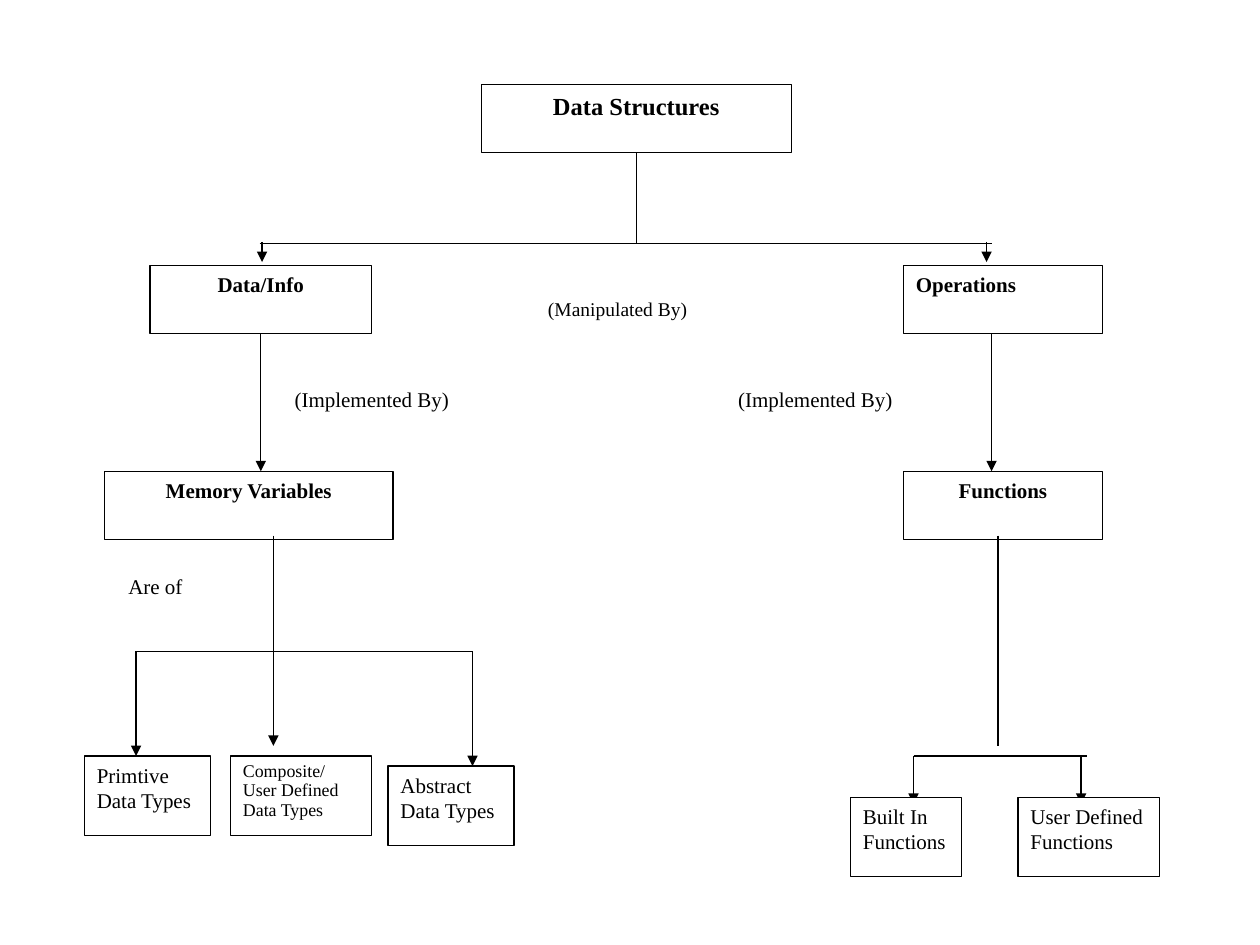
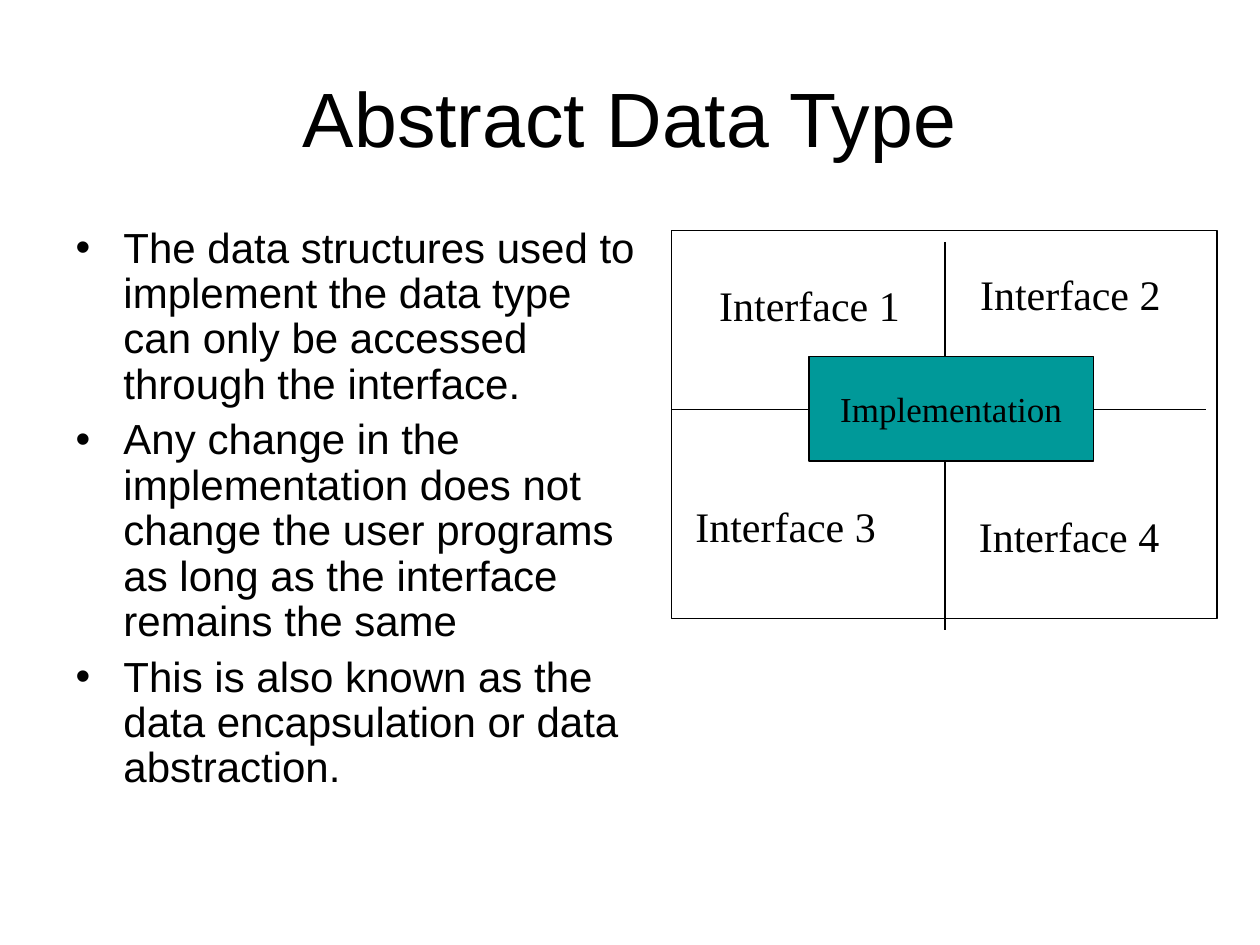
import dataclasses
import typing

import lxml.etree
import pptx
import pptx.dml.color
import pptx.enum.shapes
import pptx.enum.text
import pptx.oxml.ns
import pptx.presentation
import pptx.shapes.autoshape
import pptx.shapes.connector
import pptx.slide
import pptx.text.text
import pptx.util

PX_PER_INCH = 100
EMU_PER_PX = 914400 // PX_PER_INCH
COLORS = {"ink": "000000", "paper": "FFFFFF", "teal": "009999"}
SERIF = "Times New Roman"
SANS = "Arial"
LINE_WIDTH = pptx.util.Pt(0.75)

ALIGN = pptx.enum.text.PP_ALIGN
ANCHOR = pptx.enum.text.MSO_ANCHOR
AUTO_SIZE = pptx.enum.text.MSO_AUTO_SIZE
BOTTOM_SIDE = 2


@dataclasses.dataclass(frozen=True)
class TextStyle:
    size: float = 12
    font: str = SERIF
    bold: bool = False
    align: ALIGN = ALIGN.LEFT
    spacing: typing.Optional[float] = None


@dataclasses.dataclass(frozen=True)
class Box:
    text: str
    left: int
    top: int
    width: int
    height: int
    style: TextStyle = TextStyle()
    fill: str = "paper"
    line: str = "ink"
    anchor: ANCHOR = ANCHOR.TOP


@dataclasses.dataclass(frozen=True)
class Link:
    x1: int
    y1: int
    x2: int
    y2: int
    arrow: bool = False
    source: str = ""


HEADING = TextStyle(bold=True, align=ALIGN.CENTER)
ROOT_HEADING = TextStyle(14, bold=True, align=ALIGN.CENTER)
TIGHT = TextStyle(10.2, spacing=0.9)
CORE = TextStyle(20, align=ALIGN.CENTER)
INTERFACE = TextStyle(24)
TITLE = TextStyle(44, SANS, align=ALIGN.CENTER)
BULLET = TextStyle(24, SANS, spacing=0.9)

ROW_TOPS = (67, 211, 374)
ROW_HEIGHT = 54
LEAF_HEIGHT = 63

TREE_BOXES = [
    Box("Data Structures", 382, ROW_TOPS[0], 246, ROW_HEIGHT, ROOT_HEADING),
    Box("Data/Info", 119, ROW_TOPS[1], 176, ROW_HEIGHT, HEADING),
    Box("Operations", 717, ROW_TOPS[1], 158, ROW_HEIGHT, TextStyle(bold=True)),
    Box("Memory Variables", 83, ROW_TOPS[2], 229, ROW_HEIGHT, HEADING),
    Box("Functions", 717, ROW_TOPS[2], 158, ROW_HEIGHT, HEADING),
    Box("Primtive Data Types", 67, 600, 100, LEAF_HEIGHT),
    Box("Composite/\nUser Defined Data Types", 183, 600, 112, LEAF_HEIGHT, TIGHT),
    Box("Abstract Data Types", 308, 608, 100, LEAF_HEIGHT),
]
RELATION_LABELS = [
    Box("(Implemented By)", 224, 302, 193, 54, line="paper"),
    Box("(Implemented By)", 576, 302, 194, 54, line="paper"),
    Box("Are of", 92, 450, 93, 50, line="paper"),
    Box("(Manipulated By)", 425, 233, 138, 37, TextStyle(11.1, spacing=0.9), line="paper"),
]
TREE_LINKS = [
    Link(505, 121, 505, 193, source="Data Structures"),
    Link(206, 193, 787, 193),
    Link(208, 192, 208, 208, arrow=True),
    Link(783, 192, 783, 208, arrow=True),
    Link(207, 265, 207, 374, arrow=True, source="Data/Info"),
    Link(787, 265, 787, 374, arrow=True),
    Link(217, 425, 217, 592, arrow=True),
    Link(108, 517, 375, 517),
    Link(108, 517, 108, 600, arrow=True),
    Link(375, 517, 375, 608, arrow=True),
    Link(792, 425, 792, 592),
    Link(725, 600, 863, 600),
    Link(725, 600, 725, 638, arrow=True),
    Link(858, 600, 858, 638, arrow=True),
]
FUNCTION_BOXES = [
    Box("Built In\nFunctions", 675, 633, 88, LEAF_HEIGHT),
    Box("User Defined\nFunctions", 808, 633, 112, LEAF_HEIGHT),
]

INTERFACE_FRAME = Box("", 533, 183, 433, 308)
INTERFACE_DIVIDERS = [Link(533, 325, 957, 325), Link(750, 192, 750, 500)]
IMPLEMENTATION = Box("Implementation", 642, 283, 226, 83, CORE, "teal", anchor=ANCHOR.MIDDLE)
INTERFACE_CORNERS = [(561, 217), (768, 208), (542, 392), (767, 400)]
INTERFACE_LABEL_SIZE = (175, 50)
ADT_POINTS = [
    "The data structures used to implement the data type can only be accessed through the interface.",
    "Any change in the implementation does not change the user programs as long as the interface remains the same",
    "This is also known as the data encapsulation or data abstraction.",
]


def px(length: int) -> pptx.util.Emu:
    return pptx.util.Emu(length * EMU_PER_PX)


def color(name: str) -> pptx.dml.color.RGBColor:
    return pptx.dml.color.RGBColor.from_string(COLORS[name])


def write_text(frame: pptx.text.text.TextFrame, text: str, style: TextStyle) -> None:
    frame.text = text
    for para in frame.paragraphs:
        para.alignment = style.align
        if style.spacing:
            para.line_spacing = style.spacing
        for span in para.runs:
            span.font.size = pptx.util.Pt(style.size)
            span.font.name = style.font
            span.font.bold = style.bold
            span.font.color.rgb = color("ink")


def draw_box(page: pptx.slide.Slide, box: Box) -> pptx.shapes.autoshape.Shape:
    shape = page.shapes.add_shape(
        pptx.enum.shapes.MSO_SHAPE.RECTANGLE,
        px(box.left), px(box.top), px(box.width), px(box.height),
    )
    shape.shadow.inherit = False
    shape.fill.solid()
    shape.fill.fore_color.rgb = color(box.fill)
    shape.line.color.rgb = color(box.line)
    shape.line.width = LINE_WIDTH
    shape.text_frame.vertical_anchor = box.anchor
    shape.text_frame.word_wrap = box.anchor == ANCHOR.TOP
    if box.text:
        write_text(shape.text_frame, box.text, box.style)
    return shape


def draw_link(page: pptx.slide.Slide, link: Link) -> pptx.shapes.connector.Connector:
    connector = page.shapes.add_connector(
        pptx.enum.shapes.MSO_CONNECTOR.STRAIGHT,
        px(link.x1), px(link.y1), px(link.x2), px(link.y2),
    )
    connector.line.color.rgb = color("ink")
    connector.line.width = LINE_WIDTH
    if link.arrow:
        line = connector.line._get_or_add_ln()
        lxml.etree.SubElement(line, pptx.oxml.ns.qn("a:tailEnd"), type="triangle")
    lxml.etree.SubElement(connector._element.spPr, pptx.oxml.ns.qn("a:effectLst"))
    return connector


def draw_interface_label(page: pptx.slide.Slide, text: str, left: int, top: int) -> None:
    label = page.shapes.add_textbox(px(left), px(top), *map(px, INTERFACE_LABEL_SIZE))
    label.text_frame.word_wrap = True
    label.text_frame.auto_size = AUTO_SIZE.NONE
    write_text(label.text_frame, text, INTERFACE)


def fill_placeholder(
    holder: typing.Any, text: str, style: TextStyle, bounds: tuple[int, int, int, int]
) -> None:
    holder.left, holder.top, holder.width, holder.height = map(px, bounds)
    holder.text_frame.auto_size = AUTO_SIZE.NONE
    write_text(holder.text_frame, text, style)


def build_structure_page(deck: pptx.presentation.Presentation) -> None:
    page = deck.slides.add_slide(deck.slide_layouts[6])
    nodes = {box.text: draw_box(page, box) for box in TREE_BOXES}
    for label in RELATION_LABELS:
        draw_box(page, label)
    for link in TREE_LINKS:
        connector = draw_link(page, link)
        if link.source:
            connector.begin_connect(nodes[link.source], BOTTOM_SIDE)
    for box in FUNCTION_BOXES:
        draw_box(page, box)


def build_abstract_type_page(deck: pptx.presentation.Presentation) -> None:
    page = deck.slides.add_slide(deck.slide_layouts[1])
    title, body = page.shapes.title, page.placeholders[1]
    fill_placeholder(title, "Abstract Data Type", TITLE, (50, 30, 900, 125))
    title.text_frame.vertical_anchor = ANCHOR.MIDDLE
    fill_placeholder(body, "\n".join(ADT_POINTS), BULLET, (50, 175, 467, 495))
    for para in body.text_frame.paragraphs:
        para.space_before = pptx.util.Pt(6)
        properties = para._p.get_or_add_pPr()
        properties.set("marL", str(px(38)))
        properties.set("indent", str(px(-38)))
        bullet = pptx.oxml.ns.qn("a:buChar")
        lxml.etree.SubElement(properties, bullet, char="•")

    draw_box(page, INTERFACE_FRAME)
    for divider in INTERFACE_DIVIDERS:
        draw_link(page, divider)
    for number, (left, top) in enumerate(INTERFACE_CORNERS, start=1):
        draw_interface_label(page, f"Interface {number}", left, top)
    draw_box(page, IMPLEMENTATION)


def main() -> None:
    deck = pptx.Presentation()
    deck.slide_width, deck.slide_height = px(1000), px(750)
    build_structure_page(deck)
    build_abstract_type_page(deck)
    deck.save("out.pptx")


if __name__ == "__main__":
    main()
